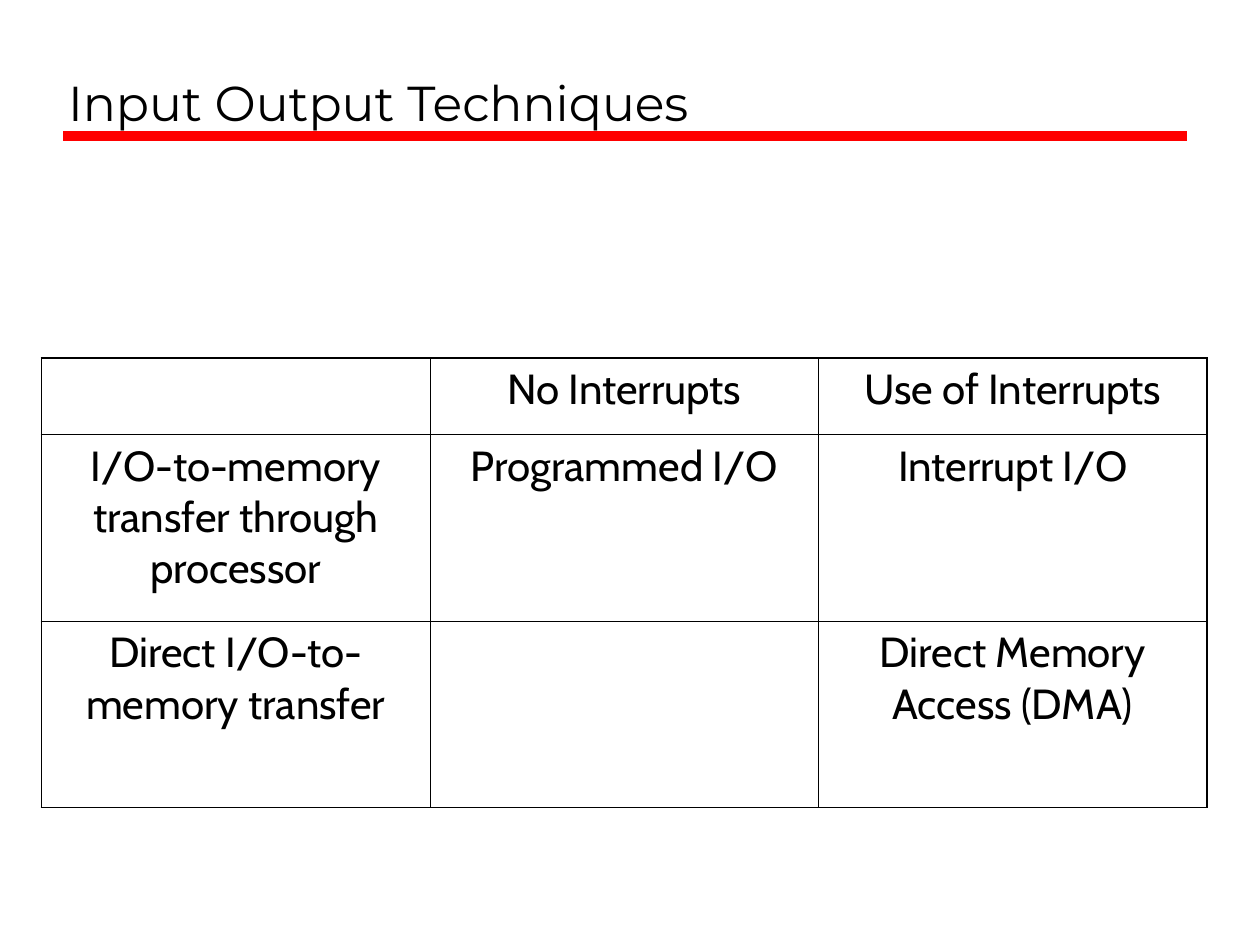
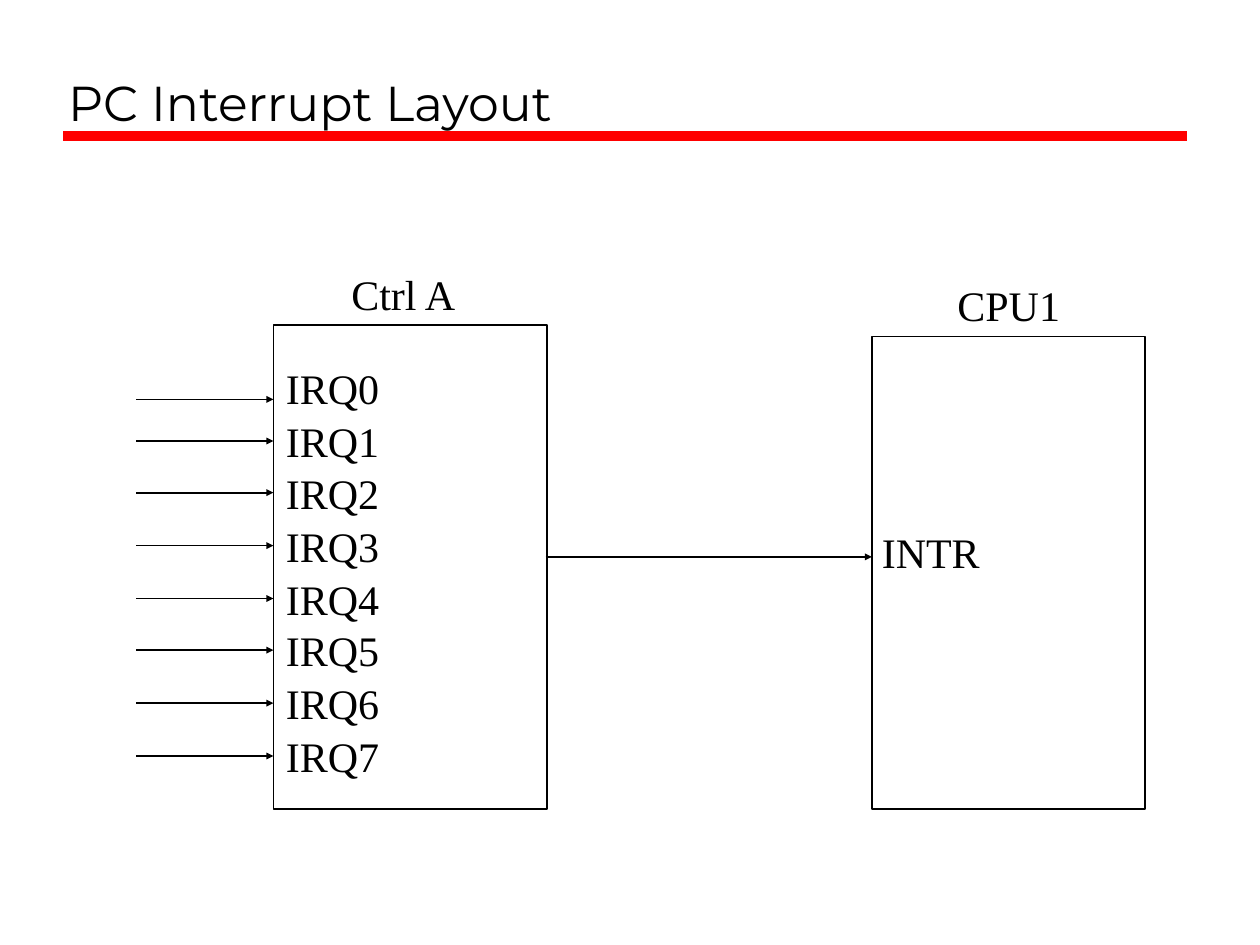
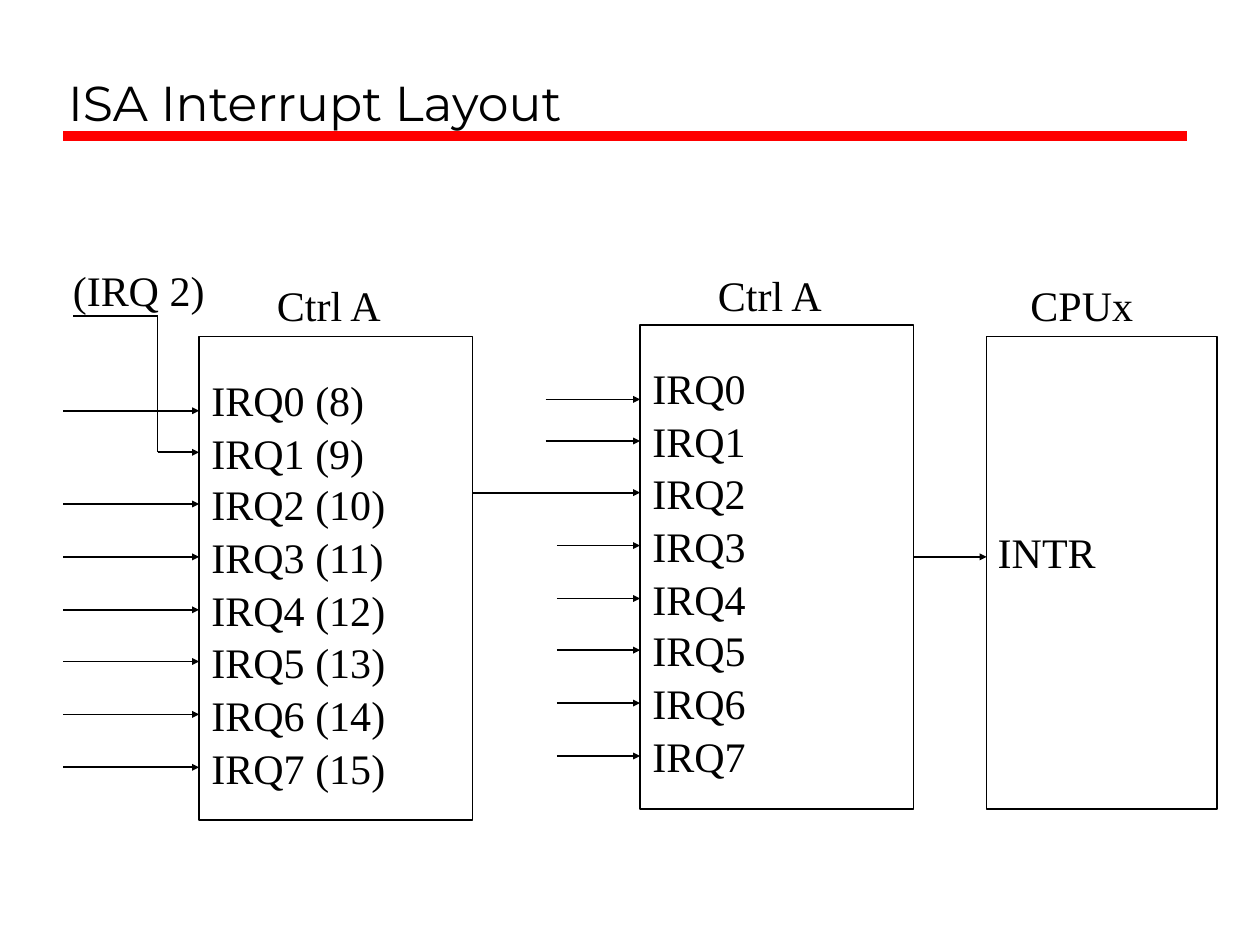
from lxml.etree import SubElement
from pptx import Presentation
from pptx.dml.color import RGBColor
from pptx.enum.shapes import MSO_CONNECTOR as CONNECTOR, MSO_SHAPE as SHAPE
from pptx.enum.text import MSO_ANCHOR as ANCHOR, MSO_AUTO_SIZE as AUTO_SIZE, PP_ALIGN as ALIGN
from pptx.oxml.ns import qn
from pptx.util import Pt

PX = 9144
BLACK, RED = "000000", "FF0000"
TITLE_FONT, TABLE_FONT, DIAGRAM_FONT = "Montserrat", "Cabin", "Times New Roman"
color = RGBColor.from_string


def write(frame, text, font, size):
    frame.text = text
    for paragraph in frame.paragraphs:
        for run in paragraph.runs:
            run.font.name = font
            run.font.size = Pt(size)
            run.font.color.rgb = color(BLACK)


def wire(slide, x1, y1, x2, y2, hue=BLACK, weight=1, arrow=True):
    link = slide.shapes.add_connector(CONNECTOR.STRAIGHT, x1 * PX, y1 * PX, x2 * PX, y2 * PX)
    link.line.color.rgb = color(hue)
    link.line.width = Pt(weight)
    if arrow:
        SubElement(link.line._get_or_add_ln(), qn("a:tailEnd"), type="triangle", w="sm", len="sm")
    SubElement(link._element.spPr, qn("a:effectLst"))


deck = Presentation()
deck.slide_width, deck.slide_height = 1000 * PX, 750 * PX

slides = []
for heading in ["Input Output Techniques", "PC Interrupt Layout", "ISA Interrupt Layout"]:
    slide = deck.slides.add_slide(deck.slide_layouts[5])
    wire(slide, 50, 108, 942, 108, RED, 6, arrow=False)
    title = slide.shapes.title
    title.left, title.top, title.width, title.height = 44 * PX, 17 * PX, 897 * PX, 92 * PX
    write(title.text_frame, heading, TITLE_FONT, 28)
    title.text_frame.auto_size = AUTO_SIZE.NONE
    title.text_frame.vertical_anchor = ANCHOR.BOTTOM
    title.text_frame.paragraphs[0].alignment = ALIGN.LEFT
    slides.append(slide)
techniques, pc, isa = slides

technique_rows = [
    ["", "No Interrupts", "Use of Interrupts"],
    ["I/O-to-memory transfer through processor", "Programmed I/O", "Interrupt I/O"],
    ["Direct I/O-to-memory transfer", "", "Direct Memory Access (DMA)"],
]
grid = techniques.shapes.add_table(3, 3, 33 * PX, 284 * PX, 925 * PX, 357 * PX).table
grid.first_row = grid.horz_banding = False
for row, height in zip(grid.rows, [61, 148, 148]):
    row.height = height * PX
for r, texts in enumerate(technique_rows):
    for c, text in enumerate(texts):
        cell = grid.cell(r, c)
        write(cell.text_frame, text, TABLE_FONT, 24)
        cell.text_frame.paragraphs[0].alignment = ALIGN.CENTER
        cell.text_frame.paragraphs[0].space_before = Pt(6)
        sides = {"a:lnL": c == 0, "a:lnR": c == 2, "a:lnT": r == 0, "a:lnB": r == 2}
        for side, outer in sides.items():
            border = SubElement(cell._tc.get_or_add_tcPr(), qn(side), w=str(Pt(1.08 if outer else 0.45)))
            SubElement(SubElement(border, qn("a:solidFill")), qn("a:srgbClr"), val=BLACK)
        cell.fill.background()

chips = [
    (pc, 217, 258, 217, 384),
    (pc, 692, 267, 217, 375),
    (isa, 508, 258, 217, 384),
    (isa, 783, 267, 183, 375),
    (isa, 158, 267, 217, 384),
]
for slide, left, top, width, height in chips:
    chip = slide.shapes.add_shape(SHAPE.RECTANGLE, left * PX, top * PX, width * PX, height * PX)
    chip.shadow.inherit = False
    chip.fill.background()
    chip.line.color.rgb = color(BLACK)
    chip.line.width = Pt(1)

labels = [
    (pc, "Ctrl A", 269, 208, 107),
    (pc, "CPU1", 750, 217, 105),
    (pc, "INTR", 690, 413, 99),
    (isa, "(IRQ 2)", 48, 205, 126),
    (isa, "Ctrl A", 210, 217, 107),
    (isa, "Ctrl A", 560, 209, 107),
    (isa, "CPUx", 808, 217, 105),
    (isa, "INTR", 782, 413, 99),
]

irq_banks = [
    (pc, 217, 258, [108] * 8, 0),
    (isa, 508, 258, [433, 433, 375] + [442] * 5, 0),
    (isa, 158, 267, [50, 125] + [50] * 6, 8),
]
for slide, left, top, starts, offset in irq_banks:
    for irq, start in enumerate(starts):
        step = round(irq * 125 / 3)
        pin = top + max(59, 50 + step)
        wire(slide, start, pin, left, pin)
        name, width = f"IRQ{irq}", 95
        if offset:
            number = irq + offset
            name, width = f"{name} ({number})", 142 if number < 10 else 159
        labels.append((slide, name, left, top + 25 + step, width))

wire(pc, 433, 442, 692, 442)
wire(isa, 725, 442, 783, 442)
wire(isa, 125, 359, 125, 251, arrow=False)
wire(isa, 125, 251, 58, 251, arrow=False)

for slide, text, left, top, width in labels:
    frame = slide.shapes.add_textbox(left * PX, top * PX, width * PX, 50 * PX).text_frame
    write(frame, text, DIAGRAM_FONT, 24)
    frame.word_wrap = False
    frame.auto_size = AUTO_SIZE.SHAPE_TO_FIT_TEXT

deck.save("out.pptx")
